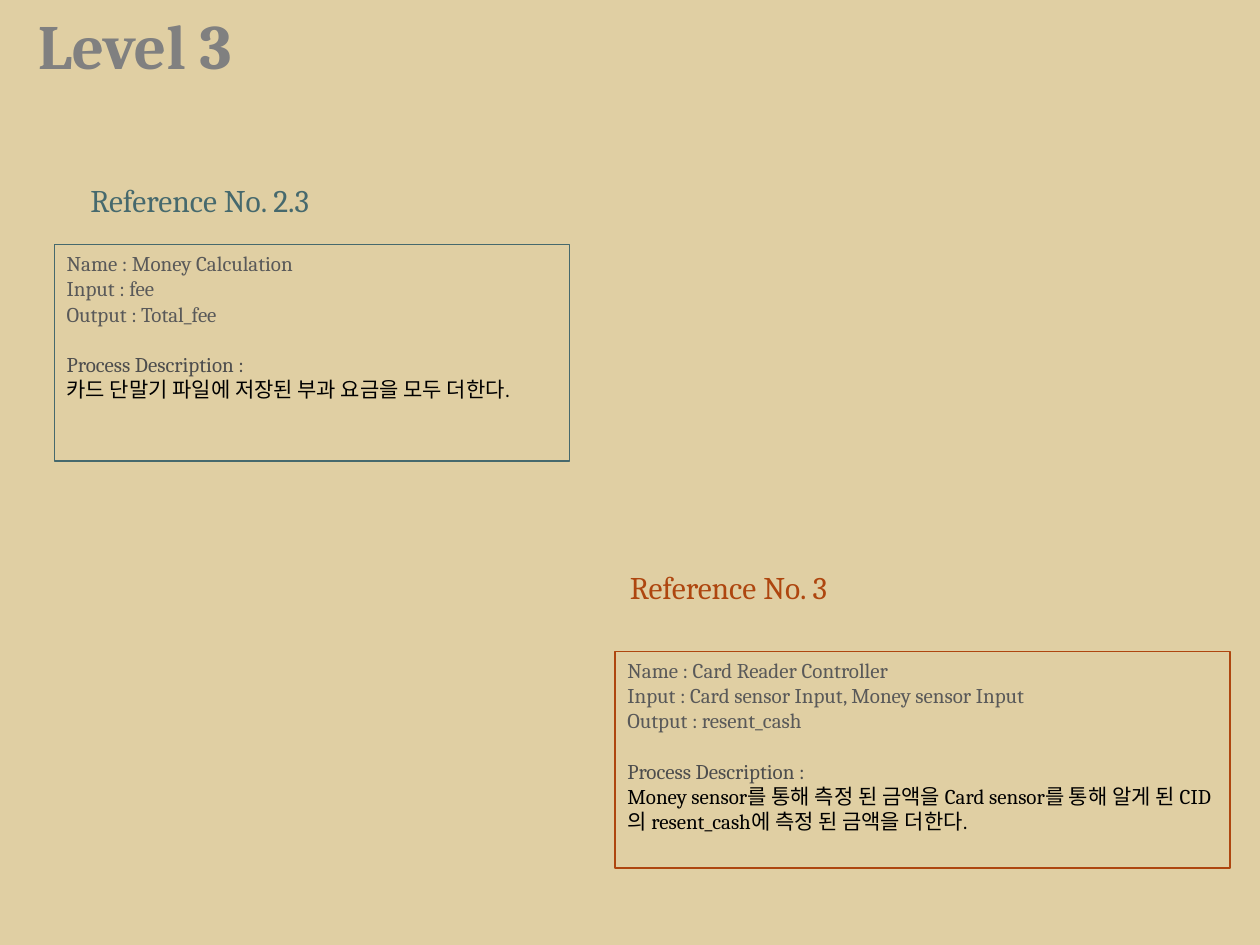
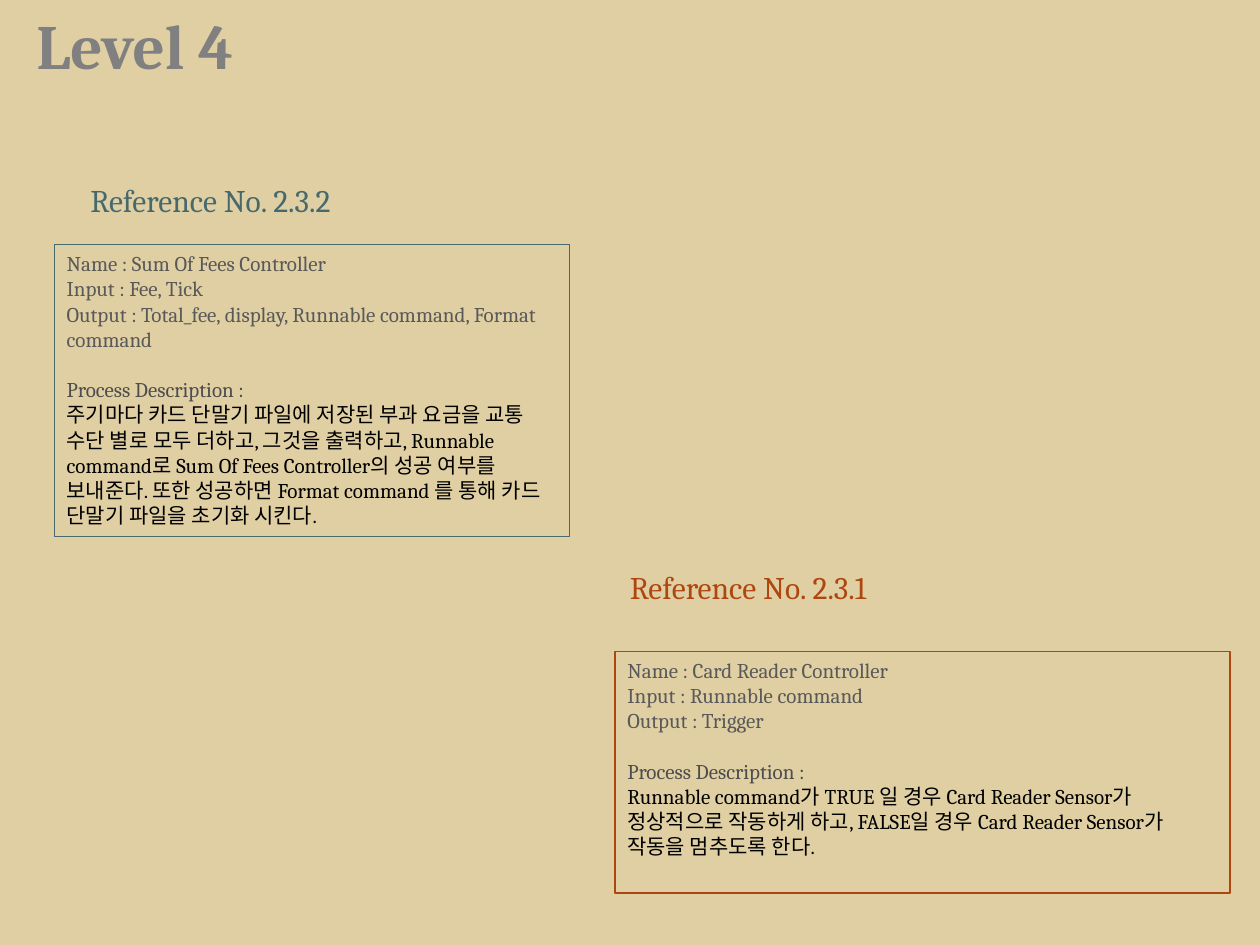
"""Builds two slides of process specifications, one per data-flow level."""
from lxml import etree
from pptx import Presentation
from pptx.dml.color import RGBColor
from pptx.enum.shapes import MSO_SHAPE
from pptx.enum.text import MSO_ANCHOR, PP_ALIGN
from pptx.oxml import parse_xml
from pptx.util import Pt

RECTANGLE = MSO_SHAPE.RECTANGLE
TOP = MSO_ANCHOR.TOP
LEFT, CENTER = PP_ALIGN.LEFT, PP_ALIGN.CENTER
FONT = "Cambria"
SAND, TEAL, RUST = "E0CFA3", "46696D", "AE460F"
TITLE_GRAY, FIELD_GRAY, HEADING_GRAY, BLACK = "808080", "595959", "4D4D4D", "000000"
TITLE_OUTLINE = (
    '<a:ln xmlns:a="http://schemas.openxmlformats.org/drawingml/2006/main" w="25400">'
    f'<a:solidFill><a:srgbClr val="{FIELD_GRAY}"/></a:solidFill></a:ln>'
)
BOX_LINE = 14.4

REFERENCES = [
    {"color": TEAL, "label": (44.6, 100.1), "box": (31, 139.7, 294.5)},
    {"color": RUST, "label": (352.8, 321.1), "box": (351.4, 372.2, 351.4)},
]
LEVELS = [
    ("Level 3", [
        ("Reference No. 2.3", 149, 123.8,
         ["Name : Money Calculation", "Input : fee", "Output : Total_fee"],
         "카드 단말기 파일에 저장된 부과 요금을 모두 더한다."),
        ("Reference No. 3", 135.4, 123.8,
         ["Name : Card Reader Controller",
          "Input : Card sensor Input, Money sensor Input", "Output : resent_cash"],
         "Money sensor를 통해 측정 된 금액을 Card sensor를 통해 알게 된 "
         "CID의 resent_cash에 측정 된 금액을 더한다."),
    ]),
    ("Level 4", [
        ("Reference No. 2.3.2", 163.4, 167,
         ["Name : Sum Of Fees Controller", "Input : Fee, Tick",
          "Output : Total_fee, display, Runnable command, Format command"],
         "주기마다 카드 단말기 파일에 저장된 부과 요금을 교통 수단 별로 모두 더하고, "
         "그것을 출력하고, Runnable command로 Sum Of Fees Controller의 성공 여부를 "
         "보내준다. 또한 성공하면 Format command 를 통해 카드 단말기 파일을 "
         "초기화 시킨다."),
        ("Reference No. 2.3.1", 163.4, 138.2,
         ["Name : Card Reader Controller", "Input : Runnable command",
          "Output : Trigger"],
         "Runnable command가 TRUE 일 경우 Card Reader Sensor가 정상적으로 작동하게 "
         "하고, FALSE일 경우 Card Reader Sensor가 작동을 멈추도록 한다."),
    ]),
]


def rgb(color):
    return RGBColor.from_string(color)


def write(shape, lines, size, align=LEFT):
    frame = shape.text_frame
    frame.word_wrap = True
    frame.vertical_anchor = TOP
    frame.text = "\n".join(text for text, color in lines)
    for paragraph, (text, color) in zip(frame.paragraphs, lines):
        paragraph.alignment = align
        font = paragraph.runs[0].font
        font.name, font.size = FONT, Pt(size)
        font.color.rgb = rgb(color)
    return frame.paragraphs


prs = Presentation()
prs.slide_width, prs.slide_height = Pt(720), Pt(540)

for level, processes in LEVELS:
    slide = prs.slides.add_slide(prs.slide_layouts[6])
    slide.background.fill.solid()
    slide.background.fill.fore_color.rgb = rgb(SAND)

    for reference, process in zip(REFERENCES, processes):
        number, label_width, box_height, fields, description = process
        left, top, width = reference["box"]
        box = slide.shapes.add_shape(
            RECTANGLE, Pt(left), Pt(top), Pt(width), Pt(box_height))
        box.shadow.inherit = False
        box.fill.background()
        box.line.color.rgb = rgb(reference["color"])
        box.line.width = Pt(0.75)
        lines = [(field, FIELD_GRAY) for field in fields]
        lines += [("Process Description :", HEADING_GRAY), (description, BLACK)]
        write(box, lines, 12)[len(fields)].space_before = Pt(BOX_LINE)

        left, top = reference["label"]
        label = slide.shapes.add_textbox(Pt(left), Pt(top), Pt(label_width), Pt(29))
        write(label, [(number, reference["color"])], 18)

    title = slide.shapes.add_textbox(Pt(0), Pt(0), Pt(154), Pt(51))
    title_run = write(title, [(level, TITLE_GRAY)], 36, CENTER)[0].runs[0]
    title_run.font.bold = True
    title_run.font._element.insert(0, parse_xml(TITLE_OUTLINE))

prs.save("out.pptx")
